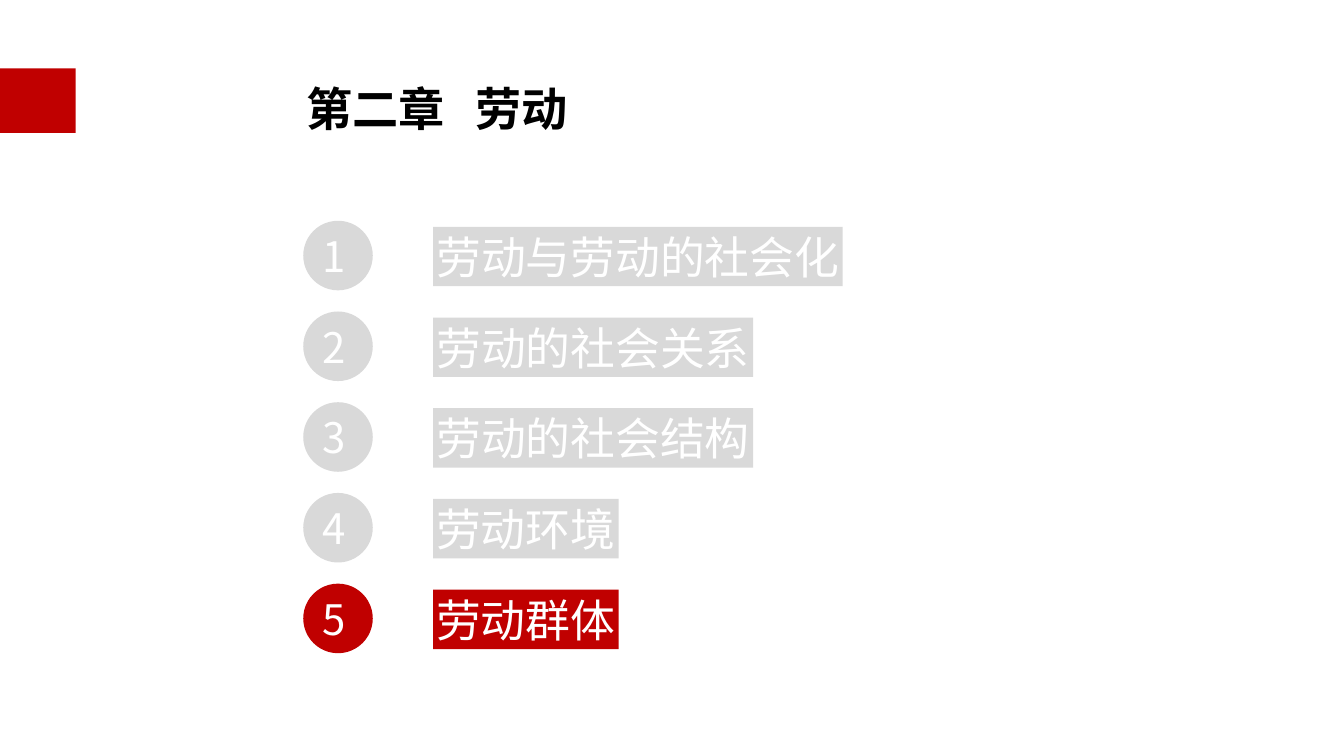
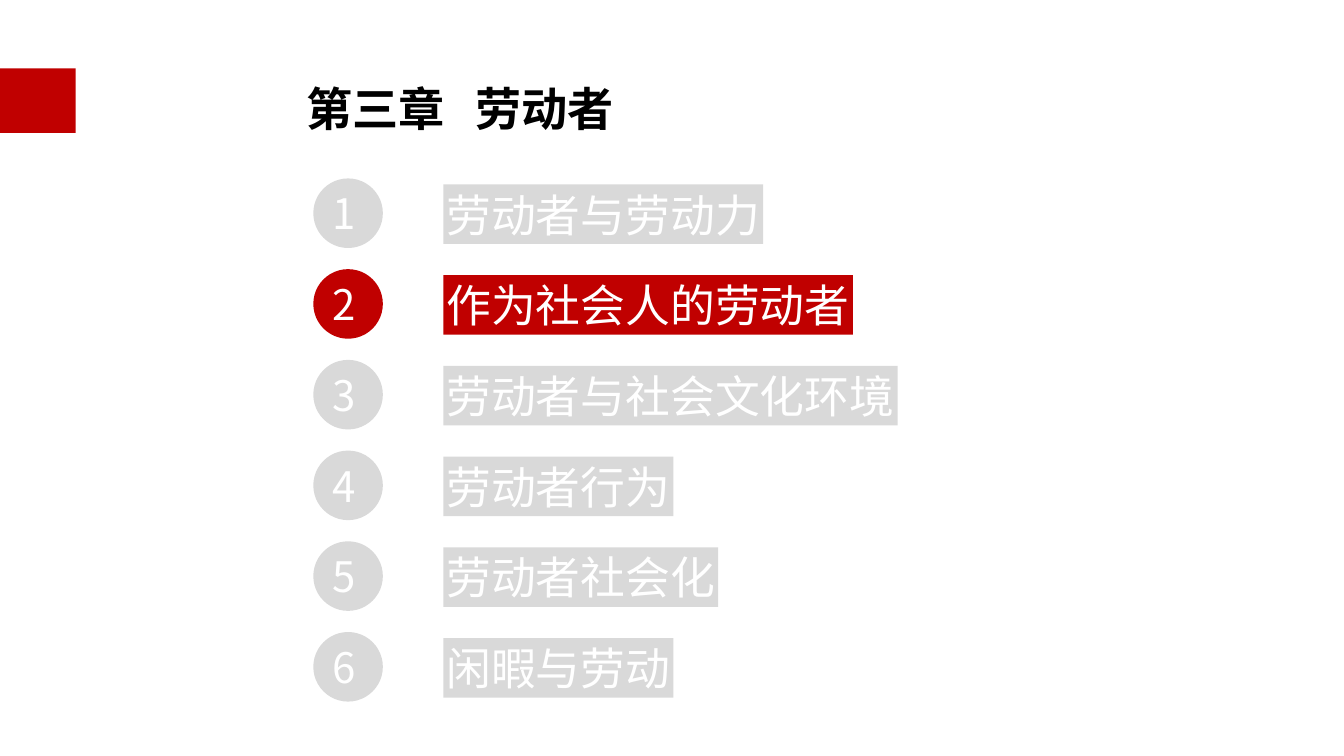
"""Build two chapter outline slides, each highlighting the current section."""
from lxml.etree import SubElement
from pptx import Presentation
from pptx.dml.color import RGBColor
from pptx.enum.shapes import MSO_SHAPE
from pptx.enum.text import MSO_ANCHOR, PP_ALIGN
from pptx.oxml.ns import qn
from pptx.util import Inches, Pt

RED, GREY, WHITE, BLACK = "C00000", "D9D9D9", "FFFFFF", "000000"
FONT = "Noto Sans CJK SC"
ROW_PITCH = 0.9
CIRCLE_SIZE = 0.69
LABEL_HEIGHT = 0.59
LABEL_OFFSET = (1.29, 0.06)
LABEL_CHAR_WIDTH = 0.445
TITLE_CHAR_WIDTH = 0.46
TITLE_TAB = 1.68

CHAPTERS = [
    ("第二章", "劳动", (3.01, 2.19), 5,
     ["劳动与劳动的社会化", "劳动的社会关系", "劳动的社会结构", "劳动环境", "劳动群体"]),
    ("第三章", "劳动者", (3.11, 1.77), 2,
     ["劳动者与劳动力", "作为社会人的劳动者", "劳动者与社会文化环境",
      "劳动者行为", "劳动者社会化", "闲暇与劳动"]),
]


def rgb(value):
    """Turn a hex string into a colour."""
    return RGBColor.from_string(value)


def write_text(shape, text, size, color, left=0.03, margin=0.03, bold=False, tab=None):
    """Write one left-aligned, vertically centred line and return its paragraph."""
    frame = shape.text_frame
    frame.word_wrap = False
    frame.vertical_anchor = MSO_ANCHOR.MIDDLE
    frame.margin_left = Inches(left)
    frame.margin_right = frame.margin_top = frame.margin_bottom = Inches(margin)
    line = frame.paragraphs[0]
    line.text = text
    line.alignment = PP_ALIGN.LEFT
    if tab:
        stops = SubElement(line._p.get_or_add_pPr(), qn("a:tabLst"))
        SubElement(stops, qn("a:tab"), pos=str(Inches(tab)), algn="l")
    line.font.size = Pt(size)
    line.font.bold = bold
    line.font.color.rgb = rgb(color)
    line.font.name = FONT
    SubElement(line._p.pPr.find(qn("a:defRPr")), qn("a:ea"), typeface=FONT)
    return line


def add_block(slide, kind, left, top, width, height, color):
    """Add a flat filled shape without outline or shadow."""
    block = slide.shapes.add_shape(
        kind, Inches(left), Inches(top), Inches(width), Inches(height))
    block.shadow.inherit = False
    block.fill.solid()
    block.fill.fore_color.rgb = rgb(color)
    block.line.fill.background()
    return block


def add_title(slide, number, name):
    """Add the red side band and the chapter title."""
    add_block(slide, MSO_SHAPE.RECTANGLE, 0, 0.68, 0.75, 0.64, RED)
    width = TITLE_CHAR_WIDTH * (len(number + name) + 1)
    title = slide.shapes.add_textbox(
        Inches(2.91), Inches(0.49), Inches(width), Inches(0.88))
    line = write_text(title, f"{number}\t{name}", 33, BLACK,
                      left=0.13, bold=True, tab=TITLE_TAB)
    line.line_spacing = 1.5


def add_section(slide, number, name, left, top, color):
    """Add a numbered circle and the section label beside it."""
    circle = add_block(slide, MSO_SHAPE.OVAL, left, top, CIRCLE_SIZE, CIRCLE_SIZE, color)
    write_text(circle, str(number), 30, WHITE, left=0.09, margin=0)
    dx, dy = LABEL_OFFSET
    width = 0.06 + LABEL_CHAR_WIDTH * len(name)
    label = add_block(slide, MSO_SHAPE.RECTANGLE, left + dx, top + dy,
                      width, LABEL_HEIGHT, color)
    write_text(label, name, 32, WHITE)


def add_chapter(deck, number, name, origin, current, sections):
    """Add one chapter slide with its current section in red."""
    slide = deck.slides.add_slide(deck.slide_layouts[6])
    add_title(slide, number, name)
    left, top = origin
    for index, section in enumerate(sections):
        color = RED if index + 1 == current else GREY
        add_section(slide, index + 1, section, left, top + index * ROW_PITCH, color)


def main():
    """Build and save the presentation."""
    deck = Presentation()
    deck.slide_width, deck.slide_height = Inches(13.34), Inches(7.5)
    for chapter in CHAPTERS:
        add_chapter(deck, *chapter)
    deck.save("out.pptx")


if __name__ == "__main__":
    main()
